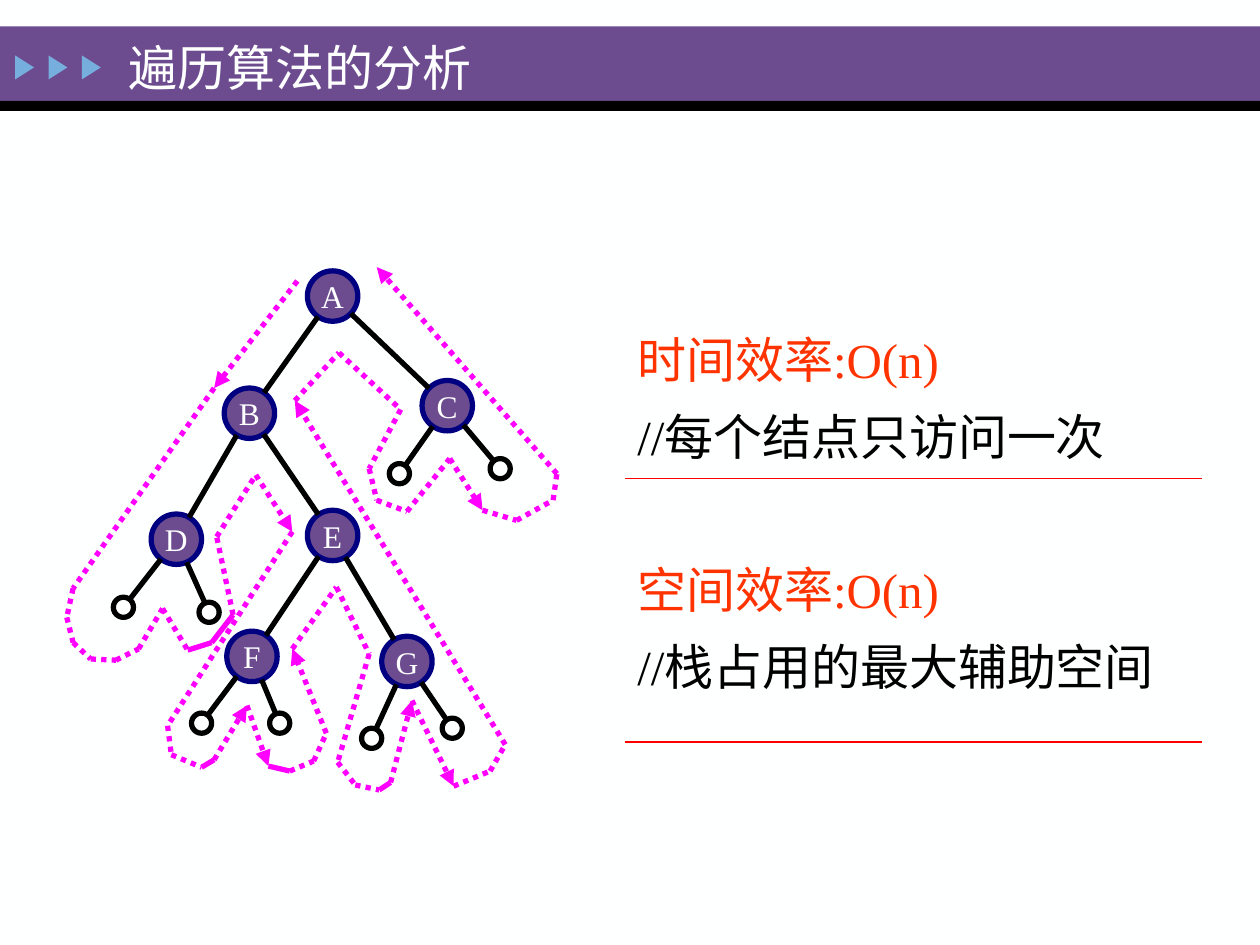
"""Build the slide on the cost of binary tree traversal."""
from itertools import pairwise
from math import dist

from lxml import etree
from pptx import Presentation
from pptx.dml.color import RGBColor
from pptx.enum.dml import MSO_LINE
from pptx.enum.shapes import MSO_CONNECTOR, MSO_SHAPE
from pptx.enum.text import MSO_ANCHOR, MSO_AUTO_SIZE, PP_ALIGN
from pptx.oxml.ns import qn
from pptx.util import Cm, Pt

RECTANGLE, TRIANGLE, OVAL = MSO_SHAPE.RECTANGLE, MSO_SHAPE.ISOSCELES_TRIANGLE, MSO_SHAPE.OVAL
STRAIGHT, ROUND_DOT = MSO_CONNECTOR.STRAIGHT, MSO_LINE.ROUND_DOT
MIDDLE, LEFT, CENTER = MSO_ANCHOR.MIDDLE, PP_ALIGN.LEFT, PP_ALIGN.CENTER
FIXED = MSO_AUTO_SIZE.NONE

THEME = {
    "paper": RGBColor.from_string("FEFFFF"),
    "purple": RGBColor.from_string("6C4C8F"),
    "sky": RGBColor.from_string("76AEDD"),
    "navy": RGBColor.from_string("000080"),
    "ink": RGBColor.from_string("000000"),
    "route": RGBColor.from_string("FF00FF"),
    "accent": RGBColor.from_string("FF3300"),
    "rule": RGBColor.from_string("FF0000"),
    "font": "Times New Roman",
    "large": Pt(28),
    "label": Pt(18),
    "stroke": Pt(3),
    "hairline": Pt(0.75),
}
GRID = 2.54
NODE_RADIUS, EMPTY_RADIUS = 0.2, 0.08


def place(*values):
    return [Cm(GRID * value) for value in values]


def add_figure(kind, box, fill=None, outline=None):
    figure = slide.shapes.add_shape(kind, *place(*box))
    figure.shadow.inherit = False
    if fill:
        figure.fill.solid()
        figure.fill.fore_color.rgb = THEME[fill]
    else:
        figure.fill.background()
    if outline:
        figure.line.color.rgb = THEME[outline]
        figure.line.width = THEME["stroke"]
    else:
        figure.line.fill.background()
    return figure


deck = Presentation()
deck.slide_width, deck.slide_height = place(10, 7.5)
slide = deck.slides.add_slide(deck.slide_layouts[5])
slide.background.fill.solid()
slide.background.fill.fore_color.rgb = THEME["paper"]
wording = []
strokes = []

add_figure(RECTANGLE, (0, 0.21, 10, 0.59), "purple")
add_figure(RECTANGLE, (0, 0.8, 10, 0.08), "ink")
for step in range(3):
    add_figure(TRIANGLE, (0.1 + 0.265 * step, 0.46, 0.19, 0.15), "sky").rotation = 90

heading = slide.shapes.title
heading_box = dict(zip(("left", "top", "width", "height"), place(0.92, 0.25, 4.04, 0.56)))
for name, value in heading_box.items():
    setattr(heading, name, value)
heading_format = {"vertical_anchor": MIDDLE, "word_wrap": True, "auto_size": FIXED}
for name, value in heading_format.items():
    setattr(heading.text_frame, name, value)
heading.text_frame.paragraphs[0].alignment = LEFT
wording.append((heading.text_frame.paragraphs[0], "遍历算法的分析", "paper", "large"))
slide.shapes._spTree.append(heading._element)

centers = {
    "A": (2.64, 2.35), "B": (1.98, 3.28), "C": (3.55, 3.22), "D": (1.4, 4.28),
    "E": (2.64, 4.25), "F": (2, 5.21), "G": (3.23, 5.25),
}
empty_children = {
    "C": [(3.17, 3.76), (3.97, 3.72)], "D": [(0.98, 4.82), (1.66, 4.86)],
    "F": [(1.6, 5.74), (2.22, 5.74)], "G": [(2.95, 5.86), (3.59, 5.78)],
}
node_children = {"A": "BC", "B": "DE", "E": "FG"}
node_format = {"vertical_anchor": MIDDLE, "word_wrap": False, "margin_left": 0,
               "margin_right": 0, "margin_top": 0, "margin_bottom": 0}

for letter, (x, y) in centers.items():
    box = (x - NODE_RADIUS, y - NODE_RADIUS, 2 * NODE_RADIUS, 2 * NODE_RADIUS)
    node = add_figure(OVAL, box, "purple", "navy")
    for name, value in node_format.items():
        setattr(node.text_frame, name, value)
    node.text_frame.paragraphs[0].alignment = CENTER
    wording.append((node.text_frame.paragraphs[0], letter, "paper", "label"))

    children = [(centers[child], NODE_RADIUS) for child in node_children.get(letter, "")]
    for child_x, child_y in empty_children.get(letter, []):
        corner = (child_x - EMPTY_RADIUS, child_y - EMPTY_RADIUS)
        add_figure(OVAL, (*corner, 2 * EMPTY_RADIUS, 2 * EMPTY_RADIUS), outline="ink")
        children.append(((child_x, child_y), EMPTY_RADIUS))

    for (child_x, child_y), child_radius in children:
        length = dist((x, y), (child_x, child_y))
        rim_shares = (NODE_RADIUS / length, 1 - child_radius / length)
        start, end = [(x + (child_x - x) * share, y + (child_y - y) * share)
                      for share in rim_shares]
        strokes.append((start, end, "ink", "stroke", "solid"))

tour_start = (2.36, 2.23)
tour = {
    "down to B": [("arrow", [(1.7, 3.08)])],
    "around D": [
        ("dotted", [(0.58, 4.67), (0.53, 4.9), (0.58, 5.1), (0.72, 5.23), (0.92, 5.24),
                    (1.1, 5.15), (1.29, 4.83), (1.49, 5.16)]),
        ("solid", [(1.68, 5.1), (1.85, 4.88)]),
        ("dotted", [(1.72, 4.26), (2.03, 3.77)]),
    ],
    "down to E": [("arrow", [(2.32, 4.22)])],
    "around F": [
        ("dotted", [(1.33, 5.76), (1.36, 5.99), (1.6, 6.09)]),
        ("solid", [(1.7, 6.03)]),
        ("arrow", [(1.96, 5.6), (2.13, 6.08)]),
        ("solid", [(2.3, 6.12)]),
        ("dotted", [(2.49, 6.04), (2.59, 5.82)]),
        ("arrow", [(2.32, 5.15)]),
    ],
    "around G": [
        ("dotted", [(2.67, 4.66), (2.93, 5.19), (2.68, 6.05), (2.82, 6.23), (3.01, 6.27)]),
        ("solid", [(3.1, 6.21)]),
        ("arrow", [(3.27, 5.56), (3.6, 6.24)]),
        ("dotted", [(3.89, 6.12), (4.01, 5.91)]),
    ],
    "back up from E": [("arrow", [(2.34, 3.18)])],
    "around C": [
        ("dotted", [(2.69, 2.8), (3.18, 3.25), (2.93, 3.72), (2.99, 3.97), (3.23, 4.06),
                    (3.57, 3.64)]),
        ("arrow", [(3.83, 4.05)]),
        ("dotted", [(4.1, 4.13), (4.39, 3.97), (4.42, 3.76)]),
    ],
    "back up to A": [("arrow", [(2.99, 2.12)])],
}
position = tour_start
for legs in tour.values():
    for style, stops in legs:
        for start, end in pairwise([position, *stops]):
            strokes.append((start, end, "route", "stroke", style))
        position = stops[-1]

text_left, text_width = 4.96, 4.58
for y in (3.8, 5.89):
    strokes.append(((text_left, y), (text_left + text_width, y), "rule", "hairline", "solid"))

for start, end, color, width, style in strokes:
    segment = slide.shapes.add_connector(STRAIGHT, *place(*start, *end))
    segment.line.color.rgb = THEME[color]
    segment.line.width = THEME[width]
    if style != "solid":
        segment.line.dash_style = ROUND_DOT
    if style == "arrow":
        etree.SubElement(segment.line._get_or_add_ln(), qn("a:tailEnd"), type="triangle")
    etree.SubElement(segment._element.spPr, qn("a:effectLst"))

analysis = slide.shapes.add_textbox(*place(text_left, 2.43, text_width, 3.16)).text_frame
analysis.word_wrap = True
findings = [
    ("时间效率:O(n)", "accent", 0),
    ("//每个结点只访问一次", "ink", 0),
    ("空间效率:O(n)", "accent", 44),
    ("//栈占用的最大辅助空间", "ink", 0),
]
for index, (text, color, gap) in enumerate(findings):
    finding = analysis.add_paragraph() if index else analysis.paragraphs[0]
    for name, value in {"line_spacing": 1.3, "space_before": Pt(gap)}.items():
        setattr(finding, name, value)
    wording.append((finding, text, color, "large"))

for paragraph, text, color, size in wording:
    run = paragraph.add_run()
    run.text = text
    for name, value in {"name": THEME["font"], "size": THEME[size]}.items():
        setattr(run.font, name, value)
    run.font.color.rgb = THEME[color]

deck.save("out.pptx")
